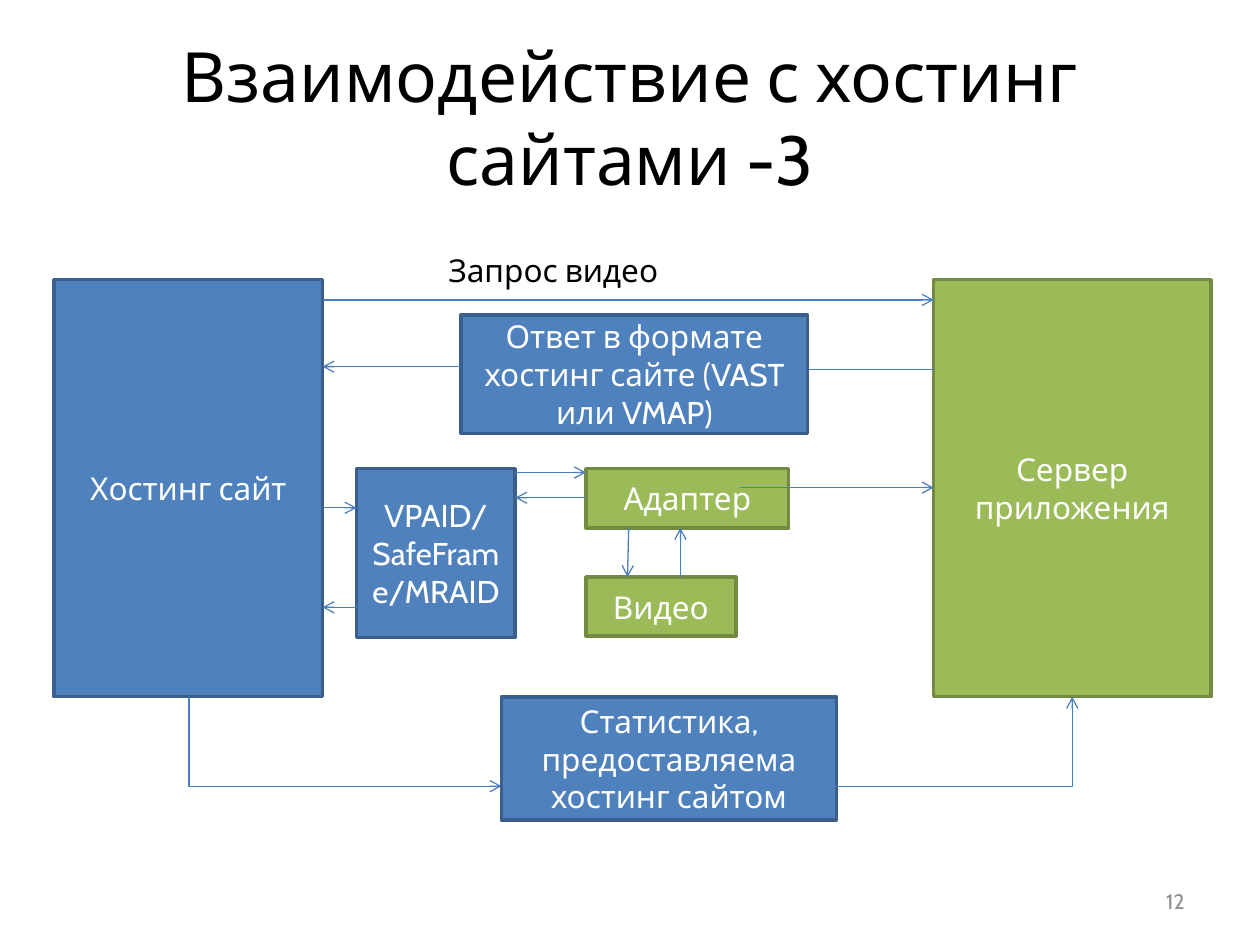
from dataclasses import dataclass

from lxml import etree
from pptx import Presentation
from pptx import util as u
from pptx.dml.color import RGBColor
from pptx.enum import shapes, text
from pptx.oxml import ns


@dataclass(frozen=True)
class Theme:
    """Colours, font and type sizes of the slide."""
    font: str = "Cabin"
    title: float = 39.6
    body: float = 18
    small: float = 12
    ink: str = "000000"
    paper: str = "FFFFFF"
    muted: str = "8C8C8C"
    arrow: str = "4B7EBC"
    host: tuple = ("4F81BD", "3A5F8C")
    app: tuple = ("9BBB59", "738A42")


@dataclass(frozen=True)
class Box:
    """A rectangle in inches that can place parts inside itself."""
    x: float
    y: float
    width: float
    height: float

    def inner(self, x, y, width, height):
        """Return a box given relative to this one."""
        return Box(self.x + x, self.y + y, width, height)

    def point(self, x, y):
        """Return a point given relative to this box."""
        return self.x + x, self.y + y

    def lengths(self):
        """Return left, top, width and height as lengths."""
        return [u.Inches(v) for v in (self.x, self.y, self.width, self.height)]


THEME = Theme()
ALIGN = text.PP_ALIGN
ANCHOR = text.MSO_ANCHOR


def write(shape, words, size=THEME.body, color=THEME.paper,
          align=ALIGN.CENTER, anchor=ANCHOR.MIDDLE):
    """Put formatted text into a shape."""
    frame = shape.text_frame
    frame.word_wrap = True
    frame.auto_size = text.MSO_AUTO_SIZE.NONE
    frame.vertical_anchor = anchor
    paragraph = frame.paragraphs[0]
    paragraph.alignment = align
    run = paragraph.add_run()
    run.text = words
    run.font.name = THEME.font
    run.font.size = u.Pt(size)
    run.font.color.rgb = RGBColor.from_string(color)


def add_label(slide, box, words, **style):
    """Add a text box."""
    write(slide.shapes.add_textbox(*box.lengths()), words, **style)


def add_block(slide, box, words, colors):
    """Add a filled rectangle with centred text."""
    fill, line = colors
    shape = slide.shapes.add_shape(shapes.MSO_SHAPE.RECTANGLE, *box.lengths())
    shape.shadow.inherit = False
    shape.fill.solid()
    shape.fill.fore_color.rgb = RGBColor.from_string(fill)
    shape.line.color.rgb = RGBColor.from_string(line)
    shape.line.width = u.Pt(2)
    write(shape, words)


def add_arrow(slide, start, end, kind=shapes.MSO_CONNECTOR.STRAIGHT):
    """Add a thin connector with an open arrowhead at its end."""
    connector = slide.shapes.add_connector(
        kind, *[u.Inches(v) for v in (*start, *end)])
    connector.line.color.rgb = RGBColor.from_string(THEME.arrow)
    connector.line.width = u.Pt(0.75)
    properties = connector._element.spPr
    etree.SubElement(properties.find(ns.qn("a:ln")), ns.qn("a:tailEnd"), type="arrow")
    etree.SubElement(properties, ns.qn("a:effectLst"))
    return connector


def add_corner(slide, start, end, down_first=False):
    """Add an arrow with one right-angled bend."""
    if down_first:
        middle_x, middle_y = (start[0] + end[0]) / 2, (start[1] + end[1]) / 2
        half_x, half_y = (end[1] - start[1]) / 2, (end[0] - start[0]) / 2
        start = middle_x + half_x, middle_y - half_y
        end = middle_x - half_x, middle_y + half_y
    connector = add_arrow(slide, start, end, shapes.MSO_CONNECTOR.ELBOW)
    properties = connector._element.spPr
    properties.find(ns.qn("a:prstGeom")).set("prst", "bentConnector2")
    if down_first:
        properties.find(ns.qn("a:xfrm")).set("rot", "16200000")


def place_title(slide, box, words):
    """Move and format the title placeholder."""
    title = slide.shapes.title
    title.left, title.top, title.width, title.height = box.lengths()
    write(title, words, size=THEME.title, color=THEME.ink)


def place_sides(slide, box):
    """Place the hosting site and the application server."""
    add_block(slide, box.inner(0, 0, 2.13, box.height), "Хостинг сайт", THEME.host)
    add_block(slide, box.inner(box.width - 2.2, 0, 2.2, box.height),
              "Сервер приложения", THEME.app)


def place_request(slide, box):
    """Place the video request and the formatted answer."""
    add_arrow(slide, box.point(0, 0.44), box.point(box.width, 0.44))
    add_label(slide, box.inner(0.9, 0, 3.35, 0.4), "Запрос видео",
              color=THEME.ink, align=ALIGN.LEFT, anchor=ANCHOR.TOP)
    add_arrow(slide, box.point(box.width, 0.99), box.point(3.31, 0.99))
    add_block(slide, box.inner(1.1, 0.56, 2.75, 0.94),
              "Ответ в формате хостинг сайте (VAST или VMAP)", THEME.host)
    add_arrow(slide, box.point(1.1, 0.97), box.point(0, 0.97))


def place_player(slide, box):
    """Place the player interface, adapter and video with their exchanges."""
    blocks = [
        ((0.27, 0, 1.26, 1.34), "VPAID/SafeFrame/MRAID", THEME.host),
        ((2.09, 0, 1.61, 0.47), "Адаптер", THEME.app),
        ((2.09, 0.86, 1.19, 0.47), "Видео", THEME.app),
    ]
    arrows = [
        ((0, 0.31), (0.27, 0.31)), ((0.27, 1.1), (0, 1.1)),
        ((1.53, 0.03), (2.09, 0.03)), ((2.09, 0.23), (1.53, 0.23)),
        ((2.43, 0.47), (2.42, 0.86)), ((2.84, 0.86), (2.84, 0.47)),
        ((3.31, 0.15), (box.width, 0.15)),
    ]
    for area, words, colors in blocks:
        add_block(slide, box.inner(*area), words, colors)
    for start, end in arrows:
        add_arrow(slide, box.point(*start), box.point(*end))


def place_statistics(slide, box):
    """Place the statistics block and the bent arrows around it."""
    add_corner(slide, box.point(0, 0), box.point(2.48, 0.71), down_first=True)
    add_block(slide, box.inner(2.48, 0, 2.66, box.height),
              "Статистика, предоставляема хостинг сайтом", THEME.host)
    add_corner(slide, box.point(4.6, 0.71), box.point(box.width, 0))


def build():
    """Build and save the slide."""
    presentation = Presentation()
    presentation.slide_width, presentation.slide_height = u.Inches(10), u.Inches(7.5)
    slide = presentation.slides.add_slide(presentation.slide_layouts[5])
    place_title(slide, Box(0.5, 0.3, 9, 1.25), "Взаимодействие с хостинг сайтами -3")
    add_label(slide, Box(7.17, 6.95, 2.33, 0.4), "12", size=THEME.small,
              color=THEME.muted, align=ALIGN.RIGHT)
    place_sides(slide, Box(0.43, 2.22, 9.18, 3.31))
    place_request(slide, Box(2.56, 1.94, 4.85, 1.5))
    place_player(slide, Box(2.56, 3.72, 4.85, 1.34))
    place_statistics(slide, Box(1.5, 5.53, 7.01, 0.98))
    presentation.save("out.pptx")


build()
